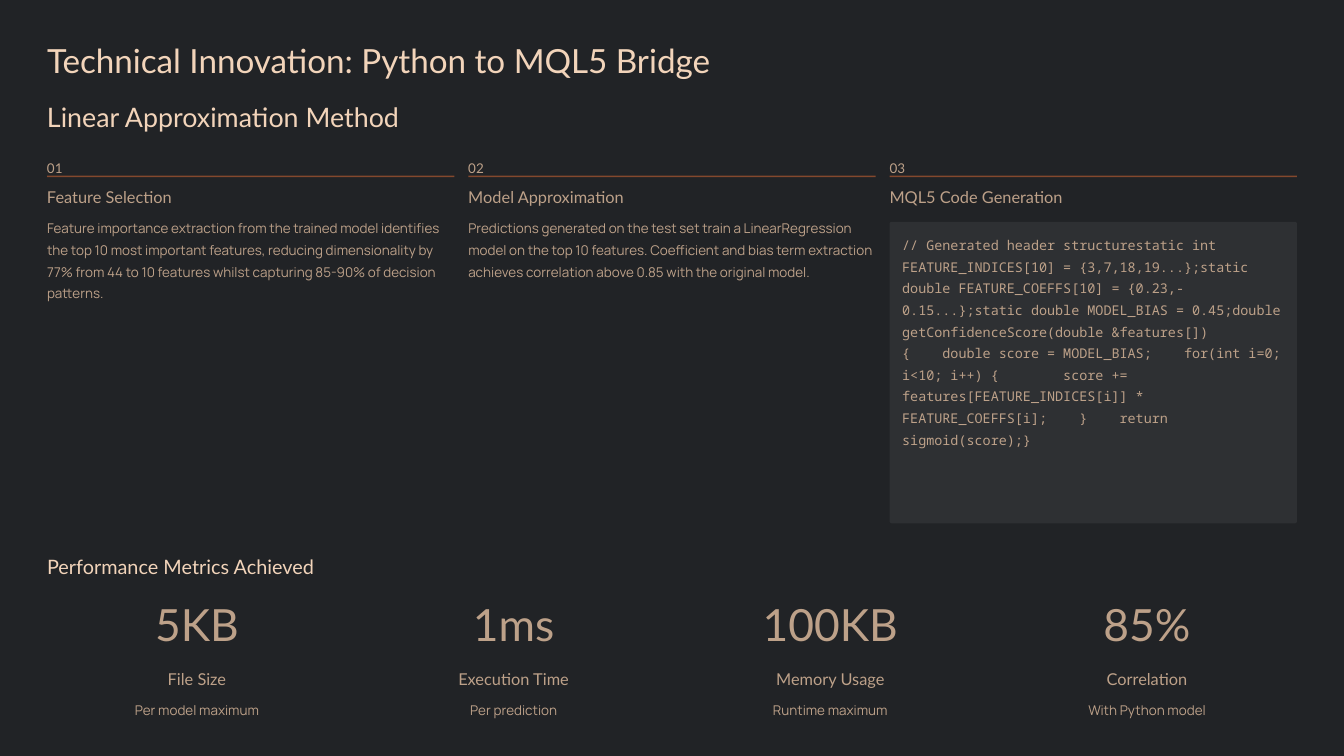
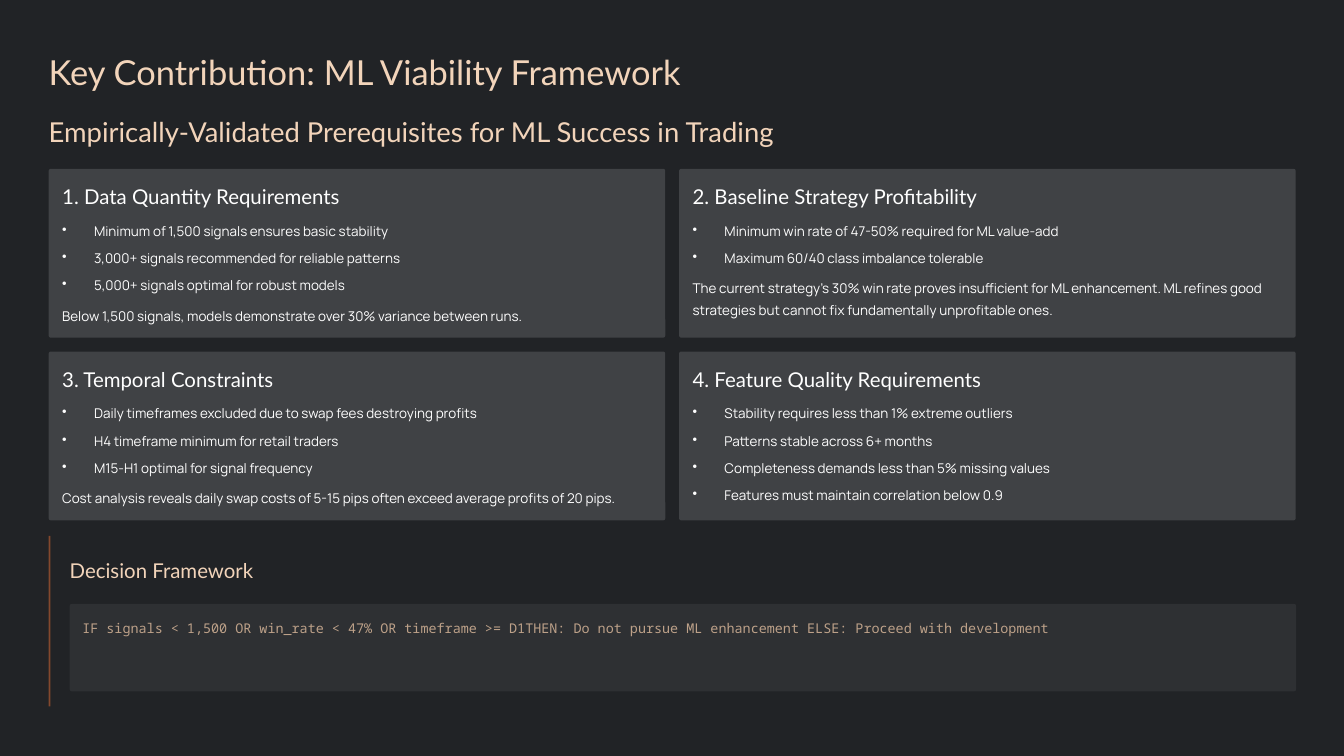
from lxml import etree
from pptx import Presentation
from pptx.dml.color import RGBColor
from pptx.enum.shapes import MSO_SHAPE
from pptx.enum.text import MSO_ANCHOR, PP_ALIGN
from pptx.oxml.ns import qn
from pptx.util import Inches, Pt

RECTANGLE, ROUNDED = MSO_SHAPE.RECTANGLE, MSO_SHAPE.ROUNDED_RECTANGLE
LEFT, CENTER, TOP = PP_ALIGN.LEFT, PP_ALIGN.CENTER, MSO_ANCHOR.TOP

BACKGROUND = RGBColor(0x21, 0x23, 0x26)
CARD = RGBColor(0x40, 0x42, 0x45)
CODE_PANEL = RGBColor(0x2E, 0x30, 0x33)
RULE = RGBColor(0x84, 0x48, 0x2D)
PEACH = RGBColor(0xF2, 0xD4, 0xBA)
TAN = RGBColor(0xBD, 0xA1, 0x89)
WHITE = RGBColor(0xFF, 0xFF, 0xFF)

HEADING, BODY, MONO = "Lato", "Manrope", "Noto Sans Mono"
RULE_WIDTH = 0.02
CORNER = 0.025
BULLET_INDENT = 0.38

# Text styles: font, size, line spacing, colour
BRIDGE_STYLES = {
    "title": (HEADING, 28.5, 36, PEACH),
    "subtitle": (HEADING, 23, 28.5, PEACH),
    "section": (HEADING, 17, 21.5, PEACH),
    "number": (HEADING, 11.5, 18.5, TAN),
    "label": (HEADING, 14, 18, TAN),
    "body": (BODY, 11.5, 18.5, TAN),
    "code": (MONO, 11.5, 18.5, TAN),
    "metric": (HEADING, 38, 38, TAN),
}
FRAMEWORK_STYLES = {
    "title": (HEADING, 29.5, 37, PEACH),
    "subtitle": (HEADING, 23.5, 29.5, PEACH),
    "section": (HEADING, 17.5, 22, PEACH),
    "card title": (HEADING, 17.5, 22, WHITE),
    "body": (BODY, 11.5, 19, WHITE),
    "code": (MONO, 11.5, 19, TAN),
}

STEPS = [
    ("Feature Selection",
     "Feature importance extraction from the trained model identifies the top 10 most "
     "important features, reducing dimensionality by 77% from 44 to 10 features whilst "
     "capturing 85-90% of decision patterns."),
    ("Model Approximation",
     "Predictions generated on the test set train a LinearRegression model on the top 10 "
     "features. Coefficient and bias term extraction achieves correlation above 0.85 with "
     "the original model."),
    ("MQL5 Code Generation", None),
]
HEADER_CODE = (
    "// Generated header structurestatic int FEATURE_INDICES[10] = {3,7,18,19...};"
    "static double FEATURE_COEFFS[10] = {0.23,-0.15...};static double MODEL_BIAS = 0.45;"
    "double getConfidenceScore(double &features[]) {    double score = MODEL_BIAS;"
    "    for(int i=0; i<10; i++) {        score += features[FEATURE_INDICES[i]] * "
    "FEATURE_COEFFS[i];    }    return sigmoid(score);}"
)
METRICS = [
    ("5KB", "File Size", "Per model maximum"),
    ("1ms", "Execution Time", "Per prediction"),
    ("100KB", "Memory Usage", "Runtime maximum"),
    ("85%", "Correlation", "With Python model"),
]
# Card: title, bullets, closing note
CARDS = [
    ("1. Data Quantity Requirements",
     ["Minimum of 1,500 signals ensures basic stability",
      "3,000+ signals recommended for reliable patterns",
      "5,000+ signals optimal for robust models"],
     "Below 1,500 signals, models demonstrate over 30% variance between runs."),
    ("2. Baseline Strategy Profitability",
     ["Minimum win rate of 47-50% required for ML value-add",
      "Maximum 60/40 class imbalance tolerable"],
     "The current strategy's 30% win rate proves insufficient for ML enhancement. "
     "ML refines good strategies but cannot fix fundamentally unprofitable ones."),
    ("3. Temporal Constraints",
     ["Daily timeframes excluded due to swap fees destroying profits",
      "H4 timeframe minimum for retail traders",
      "M15-H1 optimal for signal frequency"],
     "Cost analysis reveals daily swap costs of 5-15 pips often exceed average profits "
     "of 20 pips."),
    ("4. Feature Quality Requirements",
     ["Stability requires less than 1% extreme outliers",
      "Patterns stable across 6+ months",
      "Completeness demands less than 5% missing values",
      "Features must maintain correlation below 0.9"],
     None),
]
DECISION_CODE = (
    "IF signals < 1,500 OR win_rate < 47% OR timeframe >= D1THEN: Do not pursue ML "
    "enhancement ELSE: Proceed with development"
)


def add_page(deck):
    page = deck.slides.add_slide(deck.slide_layouts[6])
    page.background.fill.solid()
    page.background.fill.fore_color.rgb = BACKGROUND
    return page


def add_block(page, left, top, width, height, color, corner=None):
    """Add a filled rectangle, rounded when a corner radius is given."""
    block = page.shapes.add_shape(RECTANGLE if corner is None else ROUNDED,
                                  *map(Inches, (left, top, width, height)))
    if corner is not None:
        block.adjustments[0] = corner / min(width, height)
    block.shadow.inherit = False
    block.fill.solid()
    block.fill.fore_color.rgb = color
    block.line.fill.background()


def add_frame(page, left, top, width, height):
    """Add an empty text box without insets and return its text frame."""
    frame = page.shapes.add_textbox(*map(Inches, (left, top, width, height))).text_frame
    settings = {"margin_left": 0, "margin_top": 0, "margin_right": 0, "margin_bottom": 0,
                "word_wrap": True, "vertical_anchor": TOP}
    for name, value in settings.items():
        setattr(frame, name, value)
    return frame


def write(para, text, style, align=LEFT, space_before=0):
    font_name, size, line_spacing, color = style
    settings = {"alignment": align, "line_spacing": Pt(line_spacing),
                "space_before": Pt(space_before)}
    for name, value in settings.items():
        setattr(para, name, value)
    span = para.add_run()
    span.text = text
    for name, value in {"name": font_name, "size": Pt(size)}.items():
        setattr(span.font, name, value)
    span.font.color.rgb = color


def add_text(page, left, top, width, height, text, style, align=LEFT):
    write(add_frame(page, left, top, width, height).paragraphs[0], text, style, align)


def set_bullet(para):
    properties = para._p.get_or_add_pPr()
    properties.set("marL", str(Inches(BULLET_INDENT)))
    properties.set("indent", str(-Inches(BULLET_INDENT)))
    etree.SubElement(properties, qn("a:buChar")).set("char", "•")


def add_code(page, left, top, width, height, code, style):
    inset_x, inset_y = 0.15, 0.12
    add_block(page, left, top, width, height, CODE_PANEL, CORNER)
    add_text(page, left + inset_x, top + inset_y, width - 2 * inset_x,
             height - 2 * inset_y, code, style)


def add_metric(page, left, width, metric, styles):
    rows = [(7.21, 0.53, "metric"), (7.95, 0.25, "label"), (8.29, 0.26, "body")]
    for text, (top, height, style) in zip(metric, rows):
        add_text(page, left, top, width, height, text, styles[style], CENTER)


def add_card(page, left, top, width, height, card, styles):
    title, bullets, note = card
    inset = 0.16
    inner_left, inner_width = left + inset, width - 2 * inset
    add_block(page, left, top, width, height, CARD, CORNER)
    add_text(page, inner_left, top + 0.17, inner_width, 0.31, title, styles["card title"])
    frame = add_frame(page, inner_left, top + 0.57, inner_width, height - 0.74)
    for index, bullet in enumerate(bullets):
        para = frame.add_paragraph() if index else frame.paragraphs[0]
        set_bullet(para)
        write(para, bullet, styles["body"], space_before=4.4 if index else 0)
    if note:
        write(frame.add_paragraph(), note, styles["body"], space_before=7)


def build_bridge(deck):
    page, styles, margin = add_page(deck), BRIDGE_STYLES, 0.56
    add_text(page, margin, 0.45, 8.85, 0.5,
             "Technical Innovation: Python to MQL5 Bridge", styles["title"])
    add_text(page, margin, 1.19, 4.73, 0.4, "Linear Approximation Method", styles["subtitle"])

    width, gap = 4.85, 0.165
    for column, (title, body) in enumerate(STEPS):
        left = margin + column * (width + gap)
        add_text(page, left, 1.84, 0.3, 0.2, f"{column + 1:02}", styles["number"])
        add_block(page, left, 2.09, width, RULE_WIDTH, RULE)
        add_text(page, left, 2.21, 2.34, 0.25, title, styles["label"])
        if body:
            add_text(page, left, 2.56, width, 1.03, body, styles["body"])
        else:
            add_code(page, left, 2.64, width, 3.59, HEADER_CODE, styles["code"])

    add_text(page, margin, 6.59, 3.59, 0.3, "Performance Metrics Achieved", styles["section"])
    width, gap = 3.57, 0.2
    for column, metric in enumerate(METRICS):
        add_metric(page, margin + column * (width + gap), width, metric, styles)


def build_framework(deck):
    page, styles, margin = add_page(deck), FRAMEWORK_STYLES, 0.58
    add_text(page, margin, 0.59, 8.42, 0.52,
             "Key Contribution: ML Viability Framework", styles["title"])
    add_text(page, margin, 1.35, 9.81, 0.41,
             "Empirically-Validated Prerequisites for ML Success in Trading",
             styles["subtitle"])

    width, height, gap = 7.34, 2.01, 0.165
    for index, card in enumerate(CARDS):
        row, column = divmod(index, 2)
        add_card(page, margin + column * (width + gap), 2.01 + row * (height + gap),
                 width, height, card, styles)

    inner_left = margin + 0.25
    add_text(page, inner_left, 6.63, 2.5, 0.31, "Decision Framework", styles["section"])
    add_code(page, inner_left, 7.19, 14.6, 1.04, DECISION_CODE, styles["code"])
    add_block(page, margin, 6.38, RULE_WIDTH, 2.03, RULE)


def main():
    deck = Presentation()
    deck.slide_width, deck.slide_height = Inches(16), Inches(9)
    build_bridge(deck)
    build_framework(deck)
    deck.save("out.pptx")


if __name__ == "__main__":
    main()
